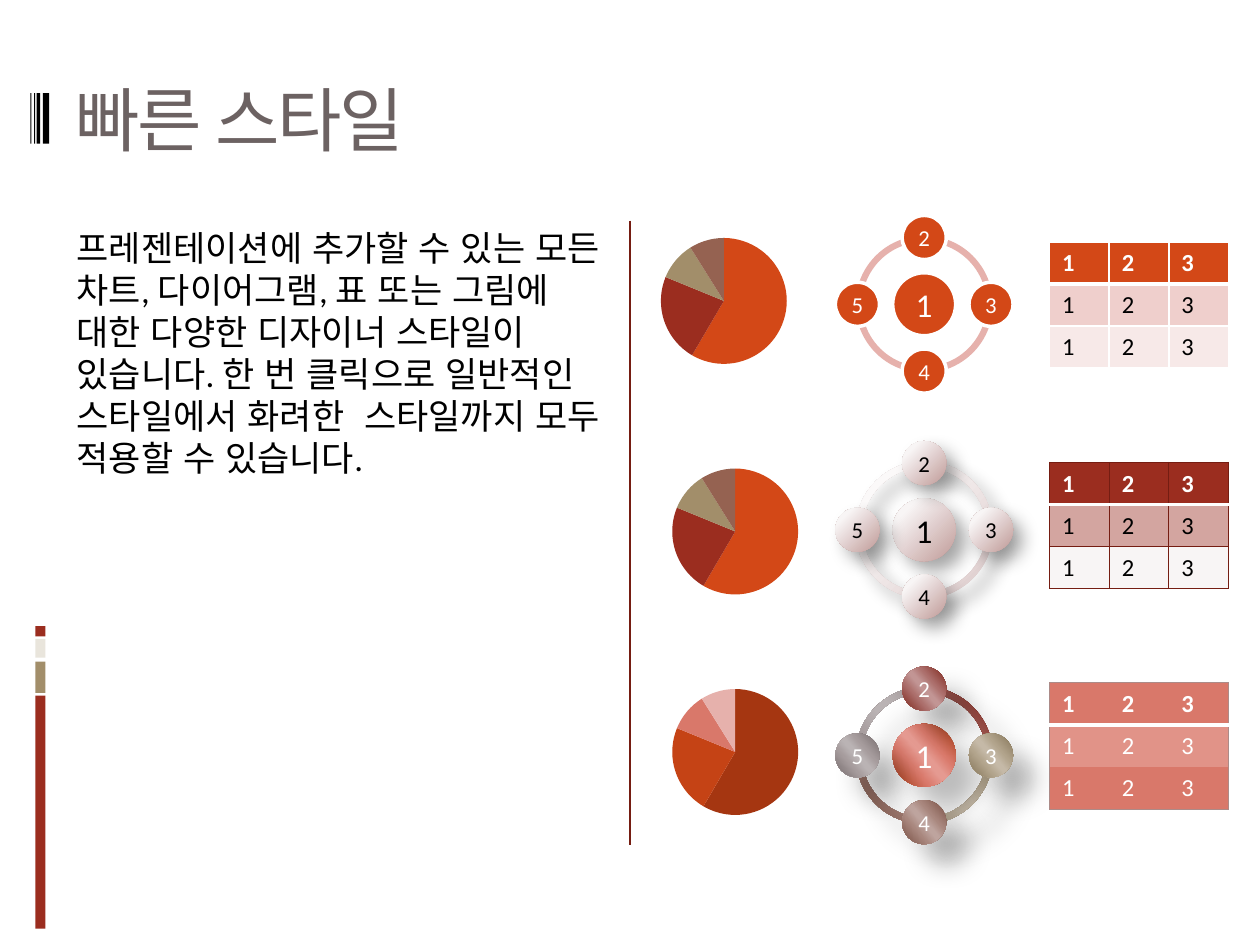
from dataclasses import dataclass
from typing import Optional

import pptx
import pptx.chart.data
import pptx.dml.color
import pptx.enum.chart
import pptx.enum.lang
import pptx.enum.shapes
import pptx.enum.text
import pptx.oxml
import pptx.oxml.ns
import pptx.util
from pptx.util import Inches

FONT = "Calibri"
NS = 'xmlns:a="http://schemas.openxmlformats.org/drawingml/2006/main"'
CHART_NS = 'xmlns:c="http://schemas.openxmlformats.org/drawingml/2006/chart"'
SHAPES = pptx.enum.shapes.MSO_SHAPE
ALIGN = pptx.enum.text.PP_ALIGN
ANCHOR = pptx.enum.text.MSO_ANCHOR


@dataclass
class Gradient:
    stops: list  # (percent, colour)
    direction: str  # XML of the gradient's direction


@dataclass
class Shadow:
    opacity: int
    blur: float
    distance: float


@dataclass
class Wheel:
    center_y: float
    arcs: list  # clockwise from top right
    circles: list  # hub, then clockwise from top
    text_color: str
    outline: Optional[str] = None
    shadow: Optional[Shadow] = None


@dataclass
class Grid:
    top: float
    fills: list  # one per row
    body_color: str
    outer: tuple  # colour, width
    inner: Optional[tuple]
    header_rule: tuple


@dataclass
class Pie:
    left: float
    top: float
    width: float
    colors: list


def rgb(color: str):
    return pptx.dml.color.RGBColor.from_string(color)


def write(frame, text: str, size: float, color: str, bold=False, align=None,
          anchor=None, margin=None, before=None, spacing=None, korean=False):
    frame.word_wrap = True
    if anchor is not None:
        frame.vertical_anchor = anchor
    if margin is not None:
        frame.margin_left = frame.margin_right = Inches(margin)
        frame.margin_top = frame.margin_bottom = Inches(margin)
    paragraph = frame.paragraphs[0]
    paragraph.alignment = align
    if before is not None:
        paragraph.space_before = pptx.util.Pt(before)
    run = paragraph.add_run()
    run.text = text
    font = run.font
    font.name, font.size, font.bold = FONT, pptx.util.Pt(size), bold
    font.color.rgb = rgb(color)
    if korean:
        font.language_id = pptx.enum.lang.MSO_LANGUAGE_ID.KOREAN
    if spacing is not None:
        font._element.set("spc", str(round(spacing * 100)))


def add_shape(slide, kind, left, top, width, height, fill, outline=None, shadow=None):
    shape = slide.shapes.add_shape(kind, Inches(left), Inches(top), Inches(width), Inches(height))
    if outline:
        shape.line.color.rgb = rgb(outline)
        shape.line.width = pptx.util.Pt(2)
    else:
        shape.line.fill.background()
    shape.shadow.inherit = False
    properties = shape._element.spPr
    if isinstance(fill, Gradient):
        stops = "".join(f'<a:gs pos="{pos * 1000}"><a:srgbClr val="{color}"/></a:gs>'
                        for pos, color in fill.stops)
        properties.find(pptx.oxml.ns.qn("a:prstGeom")).addnext(pptx.oxml.parse_xml(
            f'<a:gradFill {NS} rotWithShape="1"><a:gsLst>{stops}</a:gsLst>{fill.direction}</a:gradFill>'))
    else:
        shape.fill.solid()
        shape.fill.fore_color.rgb = rgb(fill)
    if shadow:
        properties.find(pptx.oxml.ns.qn("a:effectLst")).append(pptx.oxml.parse_xml(
            f'<a:outerShdw {NS} blurRad="{pptx.util.Pt(shadow.blur)}" '
            f'dist="{pptx.util.Pt(shadow.distance)}" dir="2700000" algn="tl" rotWithShape="0">'
            f'<a:srgbClr val="000000"><a:alpha val="{shadow.opacity * 1000}"/></a:srgbClr></a:outerShdw>'))
    return shape


def draw_wheel(slide, wheel: Wheel):
    center_x, ring, radius = 7.335, 1.09, 0.53
    for arc, fill in reversed(list(enumerate(wheel.arcs))):
        band = add_shape(slide, SHAPES.BLOCK_ARC, center_x - ring / 2, wheel.center_y - ring / 2,
                         ring, ring, fill, shadow=wheel.shadow)
        # Angles count in units of 100000/60000 degrees: 54 is a quarter turn
        band.adjustments[0] = (162 + 54 * arc) % 216
        band.adjustments[1] = 54 * arc
        band.adjustments[2] = 0.046
    offsets = [(0, 0), (0, -radius), (radius, 0), (0, radius), (-radius, 0)]
    for number, ((dx, dy), fill) in enumerate(zip(offsets, wheel.circles), 1):
        size, points = (0.5, 19) if number == 1 else (0.35, 13)
        circle = add_shape(slide, SHAPES.OVAL, center_x + dx - size / 2, wheel.center_y + dy - size / 2,
                           size, size, fill, wheel.outline, wheel.shadow)
        write(circle.text_frame, str(number), points, wheel.text_color,
              align=ALIGN.CENTER, anchor=ANCHOR.MIDDLE, margin=0)


def set_border(cell, side: str, border: Optional[tuple]):
    if border:
        color, width = border
        xml = (f'<a:ln{side} {NS} w="{pptx.util.Pt(width)}"><a:solidFill>'
               f'<a:srgbClr val="{color}"/></a:solidFill></a:ln{side}>')
    else:
        xml = f'<a:ln{side} {NS} w="0"><a:noFill/></a:ln{side}>'
    cell._tc.get_or_add_tcPr().append(pptx.oxml.parse_xml(xml))


def draw_grid(slide, grid: Grid):
    count = 3
    table = slide.shapes.add_table(count, count, Inches(8.33), Inches(grid.top),
                                   Inches(1.42), Inches(1)).table
    for r, fill in enumerate(grid.fills):
        for c in range(count):
            cell = table.cell(r, c)
            set_border(cell, "L", grid.outer if c == 0 else grid.inner)
            set_border(cell, "R", grid.outer if c == count - 1 else grid.inner)
            horizontals = [grid.outer, grid.header_rule, grid.inner, grid.outer]
            set_border(cell, "T", horizontals[r])
            set_border(cell, "B", horizontals[r + 1])
            cell.fill.solid()
            cell.fill.fore_color.rgb = rgb(fill)
            write(cell.text_frame, str(c + 1), 14, "FFFFFF" if r == 0 else grid.body_color, bold=r == 0)


def draw_pie(slide, pie: Pie):
    height, diameter = 1.28, 1.0
    data = pptx.chart.data.CategoryChartData()
    data.categories = ["1", "2", "3", "4"]
    data.add_series("Series 1", [59, 23, 10, 9])
    chart = slide.shapes.add_chart(pptx.enum.chart.XL_CHART_TYPE.PIE, Inches(pie.left), Inches(pie.top),
                                   Inches(pie.width), Inches(height), data).chart
    chart.has_legend = chart.has_title = False
    chart.font.name, chart.font.size = FONT, pptx.util.Pt(18)
    chart.font.color.rgb = rgb("000000")
    plot = chart.plots[0]
    plot.vary_by_categories = True
    for index, color in enumerate(pie.colors):
        slice_format = plot.series[0].points[index].format
        slice_format.fill.solid()
        slice_format.fill.fore_color.rgb = rgb(color)
        slice_format.line.fill.background()
    # Centre the pie in its frame
    w, h = diameter / pie.width, diameter / height
    area = chart._chartSpace.chart.plotArea
    for old in area.findall(pptx.oxml.ns.qn("c:layout")):
        area.remove(old)
    area.insert(0, pptx.oxml.parse_xml(
        f'<c:layout {CHART_NS}><c:manualLayout><c:layoutTarget val="inner"/>'
        f'<c:xMode val="edge"/><c:yMode val="edge"/><c:x val="{(1 - w) / 2:.3f}"/>'
        f'<c:y val="{(1 - h) / 2:.3f}"/><c:w val="{w:.3f}"/><c:h val="{h:.3f}"/>'
        f'</c:manualLayout></c:layout>'))


def pearl(light: str, dark: str) -> Gradient:
    return Gradient([(20, light), (100, dark)], '<a:path path="circle"><a:fillToRect l="-15000" '
                    't="-15000" r="115000" b="115000"/></a:path>')


def metal(edge: str, middle: str, shine: str) -> Gradient:
    return Gradient([(0, edge), (33, middle), (47, shine), (53, shine), (68, middle), (100, edge)],
                    '<a:lin ang="8340000" scaled="1"/>')


def main():
    deck = pptx.Presentation()
    deck.slide_width, deck.slide_height = Inches(10), Inches(7.5)
    slide = deck.slides.add_slide(deck.slide_layouts[5])

    # Side stripes and bars beside the title
    for top, height, color in [(5.52, 1.85, "9B2D1F"), (5.25, 0.25, "A28E6A"),
                               (5.07, 0.15, "E9E5DC"), (4.97, 0.08, "9B2D1F")]:
        add_shape(slide, SHAPES.RECTANGLE, 0.28, top, 0.08, height, color)
    for left, width in [(0.34, 0.05), (0.29, 0.03), (0.27, 0.01), (0.24, 0.01)]:
        add_shape(slide, SHAPES.RECTANGLE, left, 0.74, width, 0.4, "000000")

    # Divider
    divider = slide.shapes.add_connector(pptx.enum.shapes.MSO_CONNECTOR.STRAIGHT,
                                         Inches(5), Inches(1.75), Inches(5), Inches(6.71))
    divider.line.color.rgb = rgb("751D12")
    divider.line.width = pptx.util.Pt(0.75)
    divider._element.spPr.append(pptx.oxml.parse_xml(f"<a:effectLst {NS}/>"))

    # Title and body
    title = slide.shapes.title
    title.left, title.top, title.width, title.height = Inches(0.5), Inches(0.23), Inches(9), Inches(1.42)
    write(title.text_frame, "빠른 스타일", 40, "6C6262", align=ALIGN.LEFT,
          anchor=ANCHOR.MIDDLE, spacing=-1.5, korean=True)
    body = slide.shapes.add_textbox(Inches(0.51), Inches(1.75), Inches(4.42), Inches(4.95))
    write(body.text_frame, "프레젠테이션에 추가할 수 있는 모든 차트, 다이어그램, 표 또는 그림에 대한 "
          "다양한 디자이너 스타일이 있습니다. 한 번 클릭으로 일반적인 스타일에서 화려한  스타일까지 "
          "모두 적용할 수 있습니다.", 20, "000000", before=7, korean=True)

    # Wheels: flat, pearl, metal
    metals = [metal("7C2419", "AD706D", "C29594"), metal("827255", "B2A48C", "C5B9A7"),
              metal("774E41", "A9877E", "BEA49E"), metal("746A6B", "A69C9D", "BAB3B4")]
    for wheel in [
        Wheel(2.415, ["E6B1AC"] * 4, ["D34817"] * 5, "FFFFFF", outline="FFFFFF"),
        Wheel(4.205, [pearl("FBF9F9", "DCCACA")] * 4, [pearl("F8F5F5", "C09A98")] * 5, "000000",
              shadow=Shadow(35, 10.2, 8)),
        Wheel(5.995, metals, [metal("A93A12", "DA7A6C", "E59A91")] + metals, "FFFFFF",
              shadow=Shadow(26, 15, 18)),
    ]:
        draw_wheel(slide, wheel)

    # Tables
    white, maroon = ("FFFFFF", 1), ("751D12", 0.75)
    for grid in [
        Grid(1.92, ["D34817", "EFCFCC", "F7E9E8"], "000000", white, white, ("FFFFFF", 3)),
        Grid(3.67, ["9B2D1F", "D3A5A0", "F8F5F5"], "000000", maroon, maroon, ("FFFFFF", 2)),
        Grid(5.42, ["D9786A", "E19388", "D9786A"], "FFFFFF", ("AC8B88", 0.75), None, ("FFFFFF", 3)),
    ]:
        draw_grid(slide, grid)

    # Pie charts
    colorful = ["D34817", "9B2D1F", "A28E6A", "956251"]
    for pie in [Pie(5.08, 1.75, 1.33, colorful), Pie(5.17, 3.58, 1.33, colorful),
                Pie(5, 5.33, 1.67, ["A53611", "C54315", "D9786A", "E6B1AC"])]:
        draw_pie(slide, pie)

    deck.save("out.pptx")


if __name__ == "__main__":
    main()
